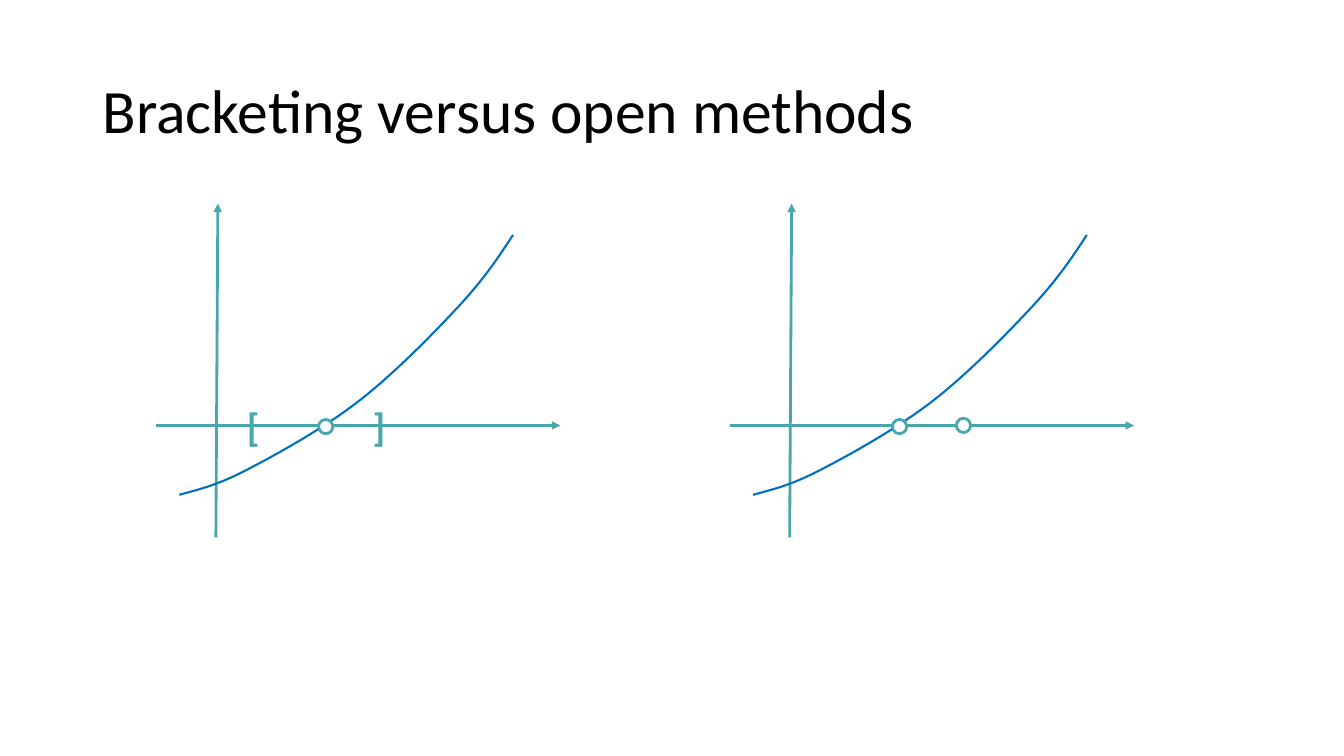
from lxml import etree
from pptx import Presentation
from pptx.dml.color import RGBColor
from pptx.enum.shapes import MSO_CONNECTOR, MSO_SHAPE
from pptx.enum.text import MSO_ANCHOR, MSO_AUTO_SIZE
from pptx.oxml.ns import qn
from pptx.util import Cm, Pt

STRAIGHT = MSO_CONNECTOR.STRAIGHT
OVAL = MSO_SHAPE.OVAL
MIDDLE = MSO_ANCHOR.MIDDLE
TOP = MSO_ANCHOR.TOP
FIXED_SIZE = MSO_AUTO_SIZE.NONE
FIT_TEXT = MSO_AUTO_SIZE.SHAPE_TO_FIT_TEXT

BLACK = RGBColor(0x00, 0x00, 0x00)
WHITE = RGBColor(0xFF, 0xFF, 0xFF)
TEAL = RGBColor(0x48, 0xA6, 0xAD)
BLUE = RGBColor(0x00, 0x70, 0xC0)

PLOT_OFFSET = 14.46
STEPS_PER_SEGMENT = 16
CURVE_START = (4.52, 12.47)
CURVE_SEGMENTS = [
    ((4.98, 12.34), (5.46, 12.24), (6.22, 11.84)),
    ((6.96, 11.46), (8.15, 10.8), (9.04, 10.11)),
    ((9.93, 9.42), (10.9, 8.43), (11.56, 7.72)),
    ((12.19, 7.04), (12.57, 6.48), (12.93, 5.92)),
]


def bezier_point(start, first, second, end, t):
    weights = ((1 - t) ** 3, 3 * t * (1 - t) ** 2, 3 * t ** 2 * (1 - t), t ** 3)
    corners = (start, first, second, end)
    return tuple(sum(w * corner[axis] for w, corner in zip(weights, corners))
                 for axis in (0, 1))


def curve_points():
    points = [CURVE_START]
    for first, second, end in CURVE_SEGMENTS:
        start = points[-1]
        points += [bezier_point(start, first, second, end, step / STEPS_PER_SEGMENT)
                   for step in range(1, STEPS_PER_SEGMENT + 1)]
    return points


class Sketch:
    font = "Calibri"
    axis_width = Pt(2)
    curve_width = Pt(1.5)
    dot_size = 0.36

    def __init__(self, page):
        self.page = page

    def text(self, shapes, text, left, top, width, height, *, size, color,
             bold=False, anchor=TOP, wrap=True, fit=FIXED_SIZE, spacing=1.0):
        box = shapes.add_textbox(Cm(left), Cm(top), Cm(width), Cm(height))
        frame = box.text_frame
        frame.word_wrap = wrap
        frame.auto_size = fit
        frame.vertical_anchor = anchor
        para = frame.paragraphs[0]
        para.line_spacing = spacing
        span = para.add_run()
        span.text = text
        span.font.name = self.font
        span.font.size = Pt(size)
        span.font.bold = bold
        span.font.color.rgb = color

    def axis(self, shapes, x1, y1, x2, y2):
        axis = shapes.add_connector(STRAIGHT, Cm(x1), Cm(y1), Cm(x2), Cm(y2))
        axis.line.color.rgb = TEAL
        axis.line.width = self.axis_width
        line = axis.line._get_or_add_ln()
        etree.SubElement(line, qn("a:tailEnd"), type="triangle")
        etree.SubElement(axis._element.spPr, qn("a:effectLst"))

    def curve(self, shapes, points):
        vertices = [(Cm(x), Cm(y)) for x, y in points]
        builder = shapes.build_freeform(*vertices[0])
        builder.add_line_segments(vertices[1:], close=False)
        curve = builder.convert_to_shape()
        curve.shadow.inherit = False
        curve.fill.background()
        curve.line.color.rgb = BLUE
        curve.line.width = self.curve_width

    def dot(self, shapes, left, top):
        size = Cm(self.dot_size)
        dot = shapes.add_shape(OVAL, Cm(left), Cm(top), size, size)
        dot.shadow.inherit = False
        dot.fill.solid()
        dot.fill.fore_color.rgb = WHITE
        dot.line.color.rgb = TEAL
        dot.line.width = self.axis_width

    def bracket(self, shapes, text, left):
        self.text(shapes, text, left, 10.01, 0.84, 1.45, size=28, color=TEAL,
                  bold=True, wrap=False, fit=FIT_TEXT)

    def plot(self, offset):
        shapes = self.page.shapes.add_group_shape().shapes
        self.axis(shapes, offset + 3.94, 10.72, offset + 14.12, 10.72)
        self.axis(shapes, offset + 5.44, 13.54, offset + 5.49, 5.13)
        self.curve(shapes, [(offset + x, y) for x, y in curve_points()])
        self.dot(shapes, offset + 8.03, 10.57)
        return shapes


def main():
    deck = Presentation()
    deck.slide_width = Cm(33.87)
    deck.slide_height = Cm(19.05)
    page = deck.slides.add_slide(deck.slide_layouts[6])
    sketch = Sketch(page)

    sketch.text(page.shapes, "Bracketing versus open methods", 2.34, 1.02, 29.21, 3.68,
                size=44, color=BLACK, anchor=MIDDLE, spacing=0.9)

    bracketing = sketch.plot(0)
    sketch.bracket(bracketing, "[", 5.97)
    sketch.bracket(bracketing, "]", 9.14)

    open_method = sketch.plot(PLOT_OFFSET)
    sketch.dot(open_method, PLOT_OFFSET + 9.64, 10.54)

    deck.save("out.pptx")


if __name__ == "__main__":
    main()
